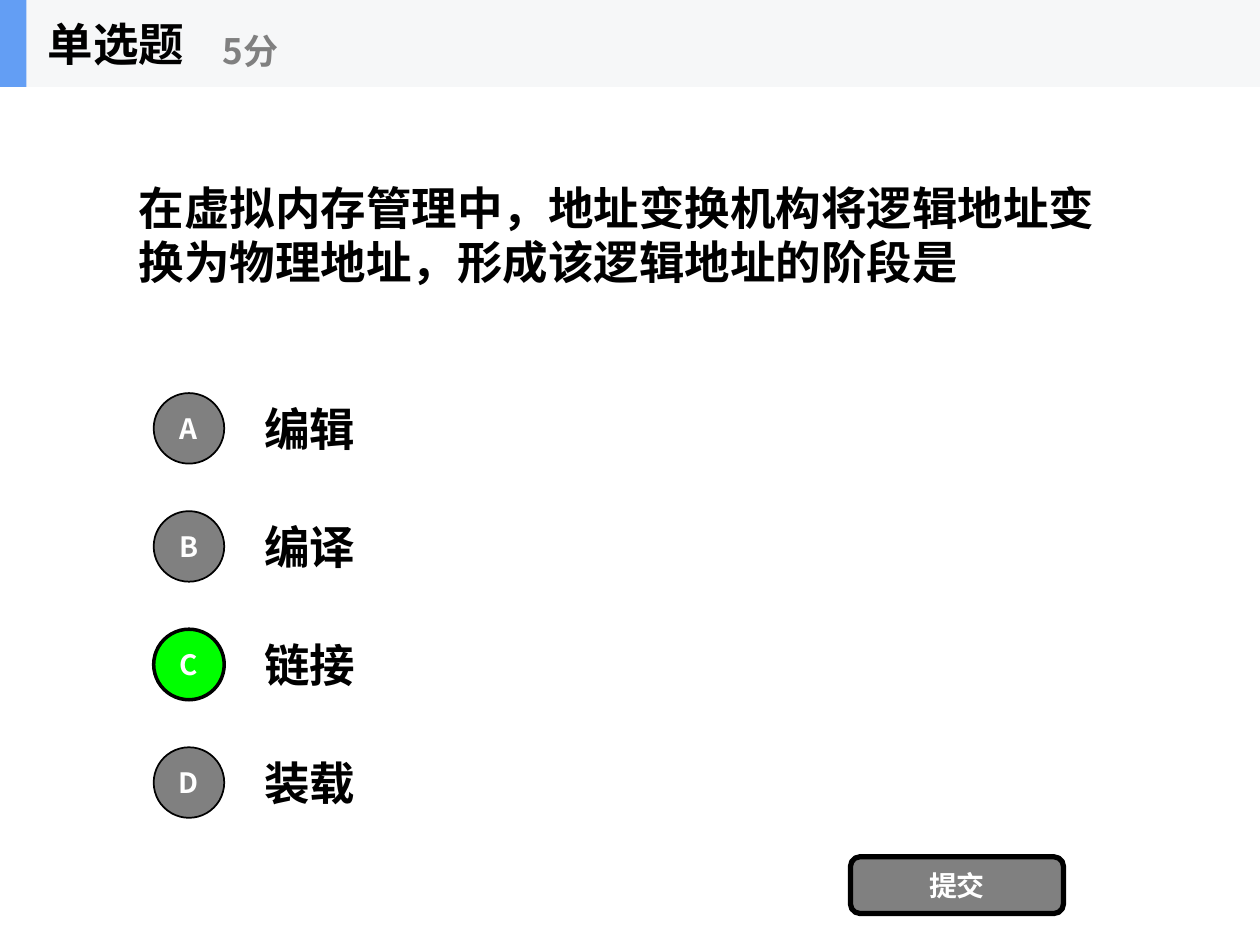
from lxml import etree
from pptx import Presentation
from pptx.dml.color import RGBColor
from pptx.enum import shapes, text
from pptx.oxml import ns
from pptx.util import Inches, Pt

# Content
HEADING = "单选题"
POINTS = "5分"
QUESTION = "在虚拟内存管理中，地址变换机构将逻辑地址变换为物理地址，形成该逻辑地址的阶段是"
OPTIONS = [("A", "编辑"), ("B", "编译"), ("C", "链接"), ("D", "装载")]
CORRECT = "C"
SUBMIT = "提交"

# Style
FONT = "Noto Sans CJK SC"
BLACK = RGBColor(0x00, 0x00, 0x00)
WHITE = RGBColor(0xFF, 0xFF, 0xFF)
GRAY = RGBColor(0x80, 0x80, 0x80)
GREEN = RGBColor(0x00, 0xFF, 0x00)
BLUE = RGBColor(0x63, 0x9E, 0xF4)
PALE = RGBColor(0xF6, 0xF7, 0xF8)

# Layout in inches
BAR_HEIGHT = 0.69
OPTION_TOP, OPTION_STEP, OPTION_HEIGHT = 3.05, 0.937, 0.7
CIRCLE_SIZE = 0.56


def write(shape, words, size, color, align=text.PP_ALIGN.LEFT):
    frame = shape.text_frame
    frame.word_wrap = True
    frame.auto_size = text.MSO_AUTO_SIZE.NONE
    frame.vertical_anchor = text.MSO_ANCHOR.MIDDLE
    paragraph = frame.paragraphs[0]
    paragraph.alignment = align
    run = paragraph.add_run()
    run.text = words
    run.font.size = Pt(size)
    run.font.bold = True
    run.font.color.rgb = color
    run.font.name = FONT
    east_asian = etree.SubElement(run.font._element, ns.qn("a:ea"))
    east_asian.set("typeface", FONT)


def add_text(parent, box, words, size, color):
    shape = parent.add_textbox(*map(Inches, box))
    write(shape, words, size, color)


def add_block(parent, kind, box, fill, line_width=0):
    shape = parent.add_shape(kind, *map(Inches, box))
    shape.shadow.inherit = False
    shape.fill.solid()
    shape.fill.fore_color.rgb = fill
    if line_width:
        shape.line.color.rgb = BLACK
        shape.line.width = Pt(line_width)
    else:
        shape.line.fill.background()
    return shape


def add_button(parent, kind, box, fill, line_width, words):
    shape = add_block(parent, kind, box, fill, line_width)
    frame = shape.text_frame
    frame.margin_left = frame.margin_right = 0
    frame.margin_top = frame.margin_bottom = 0
    write(shape, words, 16, WHITE, text.PP_ALIGN.CENTER)


presentation = Presentation()
presentation.slide_width = Inches(10)
presentation.slide_height = Inches(7.5)
slide = presentation.slides.add_slide(presentation.slide_layouts[5])

# Question
title = slide.shapes.title
title.left, title.top, title.width, title.height = map(Inches, (1, BAR_HEIGHT, 8, 2.34))
write(title, QUESTION, 26, BLACK)

# Options with their lettered circles
for index, (letter, answer) in enumerate(OPTIONS):
    top = OPTION_TOP + index * OPTION_STEP
    add_text(slide.shapes, (2, top, 7, OPTION_HEIGHT), answer, 26, BLACK)
    fill, line_width = (GREEN, 2) if letter == CORRECT else (GRAY, 1)
    circle_top = top + (OPTION_HEIGHT - CIRCLE_SIZE) / 2
    add_button(slide.shapes, shapes.MSO_SHAPE.OVAL,
               (1.22, circle_top, CIRCLE_SIZE, CIRCLE_SIZE), fill, line_width, letter)

# Submit button
add_button(slide.shapes, shapes.MSO_SHAPE.ROUNDED_RECTANGLE,
           (6.75, 6.8, 1.69, 0.45), GRAY, 3, SUBMIT)

# Header bar
header = slide.shapes.add_group_shape().shapes
add_block(header, shapes.MSO_SHAPE.RECTANGLE, (0, 0, 10, BAR_HEIGHT), PALE)
add_block(header, shapes.MSO_SHAPE.RECTANGLE, (0, 0, 0.21, BAR_HEIGHT), BLUE)
add_text(header, (0.28, 0, 2.08, BAR_HEIGHT), HEADING, 26, BLACK)
add_text(header, (1.67, 0.12, 2.5, 0.56), POINTS, 20, GRAY)

presentation.save("out.pptx")
